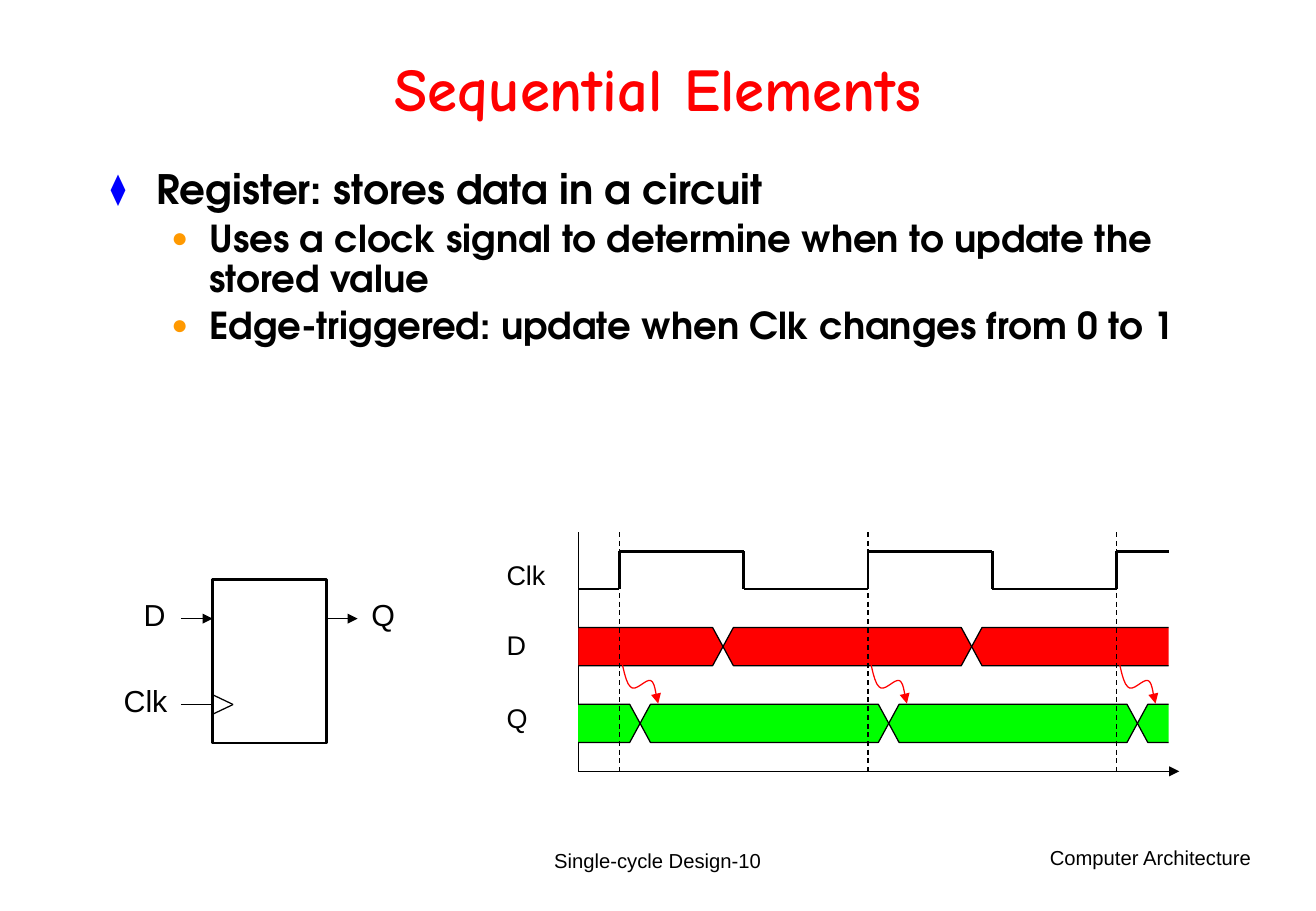
from lxml import etree
from pptx import Presentation
from pptx.dml.color import RGBColor
from pptx.enum import dml, shapes, text
from pptx.oxml.ns import qn
from pptx.util import Pt

BLACK = RGBColor(0, 0, 0)
RED = RGBColor(255, 0, 0)
GREEN = RGBColor(0, 255, 0)
LEFT, MID, RIGHT = text.PP_ALIGN.LEFT, text.PP_ALIGN.CENTER, text.PP_ALIGN.RIGHT
SANS = "Arial"

deck = Presentation()
deck.slide_width, deck.slide_height = Pt(780.13), Pt(540)
slide = deck.slides.add_slide(deck.slide_layouts[6])


def write(words, x, y, w, h, size, face=SANS, color=BLACK, align=LEFT, bold=False):
    """Add a text box and return its frame; each line is a paragraph."""
    frame = slide.shapes.add_textbox(Pt(x), Pt(y), Pt(w), Pt(h)).text_frame
    frame.word_wrap = True
    frame.text = words
    for para in frame.paragraphs:
        para.alignment = align
        for run in para.runs:
            font = run.font
            font.name, font.size, font.bold = face, Pt(size), bold
            font.color.rgb = color
    return frame


def draw(x1, y1, x2, y2, width=0.75, tip=False, dash=False):
    """Add a straight black line, with an arrowhead at its end if tip is set."""
    line = slide.shapes.add_connector(
        shapes.MSO_CONNECTOR.STRAIGHT, Pt(x1), Pt(y1), Pt(x2), Pt(y2))
    line.line.color.rgb = BLACK
    line.line.width = Pt(width)
    if dash:
        line.line.dash_style = dml.MSO_LINE.DASH
    props = line._element.spPr
    if tip:
        etree.SubElement(props.find(qn("a:ln")), qn("a:tailEnd"), type="triangle")
    etree.SubElement(props, qn("a:effectLst"))


# Title, body and footers
write("Computer Architecture", 542, 497.7, 206.8, 36, 12, align=RIGHT)
foot = write("Single-cycle Design-10", 266.4, 492, 247, 36, 12, align=MID)
foot.vertical_anchor = text.MSO_ANCHOR.MIDDLE
title = write("Sequential Elements", 58.5, 19.4, 663, 71.3, 36,
              "Comic Neue", RED, MID, True)
title.vertical_anchor = text.MSO_ANCHOR.MIDDLE
title.paragraphs[0].line_spacing = 0.85

body = write("Register: stores data in a circuit\n"
             "Uses a clock signal to determine when to update the stored value\n"
             "Edge-triggered: update when Clk changes from 0 to 1",
             58.5, 97.2, 663, 216.7, 24, "TeX Gyre Adventor", bold=True)
for row, para in enumerate(body.paragraphs):
    margin, hang, mark, tint = (58.5, 22.5, "●", "FF9900") if row else (27, 27, "⧫", "0000FF")
    props = para._p.get_or_add_pPr()
    props.set("marL", str(Pt(margin)))
    props.set("indent", str(-Pt(hang)))
    hue = etree.SubElement(props, qn("a:buClr"))
    etree.SubElement(hue, qn("a:srgbClr"), val=tint)
    etree.SubElement(props, qn("a:buSzPct"), val="75000")
    etree.SubElement(props, qn("a:buFont"), typeface=SANS)
    etree.SubElement(props, qn("a:buChar"), char=mark)
    para.line_spacing = 0.9
    if row:
        para.level = 1
        para.space_before = Pt(4.1)
        para.runs[0].font.size = Pt(22)

# Register symbol
box = slide.shapes.add_shape(shapes.MSO_SHAPE.RECTANGLE, Pt(126), Pt(343.6), Pt(67.7), Pt(96.8))
box.shadow.inherit = False
box.fill.background()
box.line.color.rgb = BLACK
box.line.width = Pt(1.5)
draw(107.3, 366.7, 126, 366.7, 1, tip=True)
draw(193.7, 366.7, 212, 366.7, 1, tip=True)
draw(107.3, 417.6, 126, 417.6)
for side in (-5.8, 5.8):
    draw(126, 417.6 + side, 138.2, 417.6)
for name, x, y in (("D", 78, 350), ("Clk", 66.2, 401), ("Q", 213.1, 350)):
    write(name, x, y, 54, 29, 18)

# Timing diagram
START, END, BASE, TOP = 342.8, 692.8, 457.2, 315.4
HIGH, LOW = 326.9, 349.2
PERIOD = 147.4
SLANT = PERIOD / 24
BAR = 22.6
edges = [367.2 + PERIOD * i for i in range(3)]

clock = [(START, LOW)]
for edge in edges:
    clock += [(edge, LOW), (edge, HIGH)]
    if edge != edges[-1]:
        fall = edge + PERIOD / 2
        clock += [(fall, HIGH), (fall, LOW)]
clock.append((END, HIGH))
for here, there in zip(clock, clock[1:]):
    draw(*here, *there, 1.5)
draw(START, BASE, 699.1, BASE, tip=True)
draw(START, BASE, START, TOP)
for name, y in (("Clk", 327.4), ("D", 368.9), ("Q", 412.3)):
    write(name, 293.2, y, 54, 26.6, 16)

# Outlines: points, fill, line colour, closed
outlines = []
lanes = ((372, RED, [e + PERIOD * 5 / 12 for e in edges[:2]]),
         (417.5, GREEN, [e + PERIOD / 12 for e in edges]))
for top, fill, swaps in lanes:
    mid, low = top + BAR / 2, top + BAR
    stops = [START, *swaps, END]
    for a, b in zip(stops, stops[1:]):
        if a == START:
            pts = [(a, top), (b - SLANT, top), (b, mid), (b - SLANT, low), (a, low)]
        elif b == END:
            pts = [(b, top), (a + SLANT, top), (a, mid), (a + SLANT, low), (b, low)]
        else:
            pts = [(a, mid), (a + SLANT, top), (b - SLANT, top),
                   (b, mid), (b - SLANT, low), (a + SLANT, low)]
        outlines.append((pts, fill, BLACK, a != START and b != END))

bends = [(0, 0), (0.7, 4.3), (2.9, 20.9), (6.5, 23.8), (9.4, 27.4),
         (15.8, 18.7), (18.7, 20.2), (21.6, 21.6), (21.6, 31), (23, 33.8)]
STEPS = 8
wave = [bends[0]]
for i in range(0, 9, 3):
    for step in range(1, STEPS + 1):
        t = step / STEPS
        parts = ((1 - t) ** 3, 3 * t * (1 - t) ** 2, 3 * t * t * (1 - t), t ** 3)
        wave.append(tuple(sum(k * p[axis] for k, p in zip(parts, bends[i:i + 4]))
                          for axis in (0, 1)))
for edge in edges:
    outlines.append(([(edge + x, 383.3 + y) for x, y in wave], None, RED, False))

for pts, fill, ink, closed in outlines:
    first, *rest = [(Pt(x), Pt(y)) for x, y in pts]
    pen = slide.shapes.build_freeform(*first)
    pen.add_line_segments(rest, close=closed)
    form = pen.convert_to_shape()
    form.shadow.inherit = False
    form.line.color.rgb = ink
    form.line.width = Pt(0.75)
    if fill:
        form.fill.solid()
        form.fill.fore_color.rgb = fill
    else:
        form.fill.background()
        etree.SubElement(form._element.spPr.find(qn("a:ln")), qn("a:tailEnd"), type="triangle")

for edge in edges:
    draw(edge, TOP, edge, BASE, dash=True)

deck.save("out.pptx")
